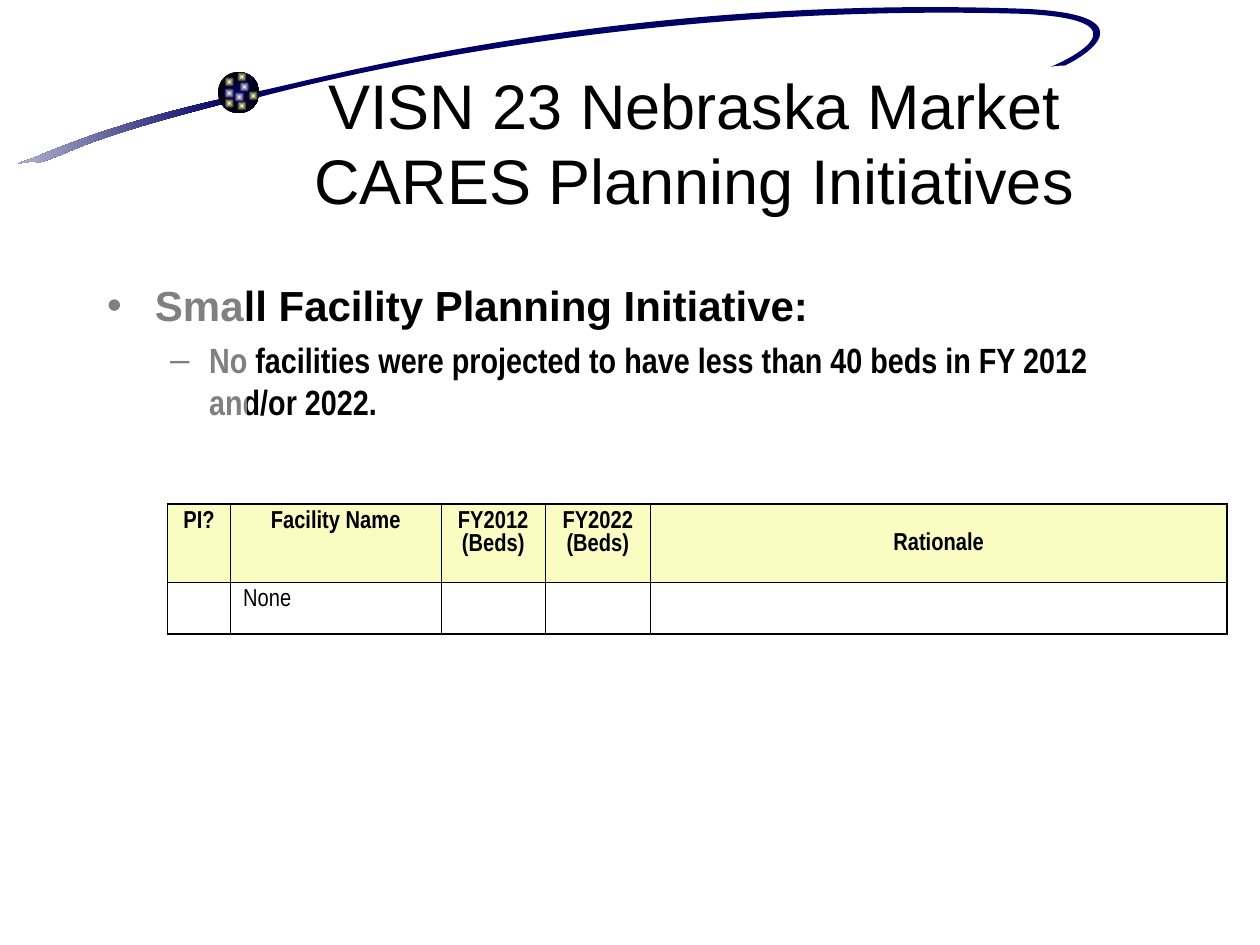
import math
from collections import namedtuple

from lxml import etree
from pptx import Presentation
from pptx import util as u
from pptx.dml.color import RGBColor
from pptx.enum import shapes, text
from pptx.oxml import ns

Box = namedtuple("Box", "left top width height")
COLORS = {"navy": "000066", "mist": "C5C5D9", "black": "000000",
          "cream": "FFFFCC", "header": "FBFCC2", "white": "FFFFFF"}
BODY_FONT, TABLE_FONT = "Arial", "Arial Narrow"
OUTER_LINE, INNER_LINE = 1.08, 0.45
TILT = 351.5

TAIL = [(1.78, 0.78),
        (0.91, 0.98), (0.49, 1.16), (0.25, 1.26),
        (0.01, 1.34), (0.26, 1.26), (0.31, 1.29),
        (0.57, 1.22), (0.57, 1.13), (1.79, 0.82),
        (1.79, 0.82), (1.78, 0.78), (1.78, 0.78)]
ORBIT = [(2.02, 0.73),
         (2.46, 0.65), (4.86, -0.05), (8.14, 0.07),
         (9.17, 0.12), (8.57, 0.47), (8.45, 0.52),
         (8.45, 0.52), (8.38, 0.52), (8.34, 0.53),
         (8.44, 0.49), (9.16, 0.16), (8.13, 0.11),
         (5.48, 0.03), (3.2, 0.47), (2.06, 0.77),
         (2.06, 0.77), (2.02, 0.73), (2.02, 0.73)]
DOT_SIZE = 0.08
DOTS = [(0.17, 0.08, "navy"), (0.05, 0.04, "black"), (0.05, 0.13, "navy"),
        (0.13, 0.16, "navy"), (0.24, 0.15, "black"), (0.15, 0.23, "black"),
        (0.05, 0.21, "black"), (0.15, 0, "black")]


def rgb(name):
    return RGBColor.from_string(COLORS[name])


def add_xml(parent, tag, **attributes):
    return etree.SubElement(parent, ns.qn(tag), attributes)


def place(shape, box):
    shape.left, shape.top, shape.width, shape.height = map(u.Inches, box)


def style_runs(para, font, size, bold=False):
    for span in para.runs:
        span.font.name, span.font.size = font, u.Pt(size)
        span.font.bold = bold
        span.font.color.rgb = rgb("black")


def set_gradient(shape, start, end):
    shape.fill.gradient()
    for stop, name in zip(shape.fill.gradient_stops, (start, end)):
        stop.color.rgb = rgb(name)


def add_curve(page, box, points):
    builder = page.shapes.build_freeform(0, 0)
    builder.add_line_segments([(u.Inches(box.width), u.Inches(box.height))])
    curve = builder.convert_to_shape()
    place(curve, box)
    curve.rotation = TILT
    curve.shadow.inherit = False
    curve.line.fill.background()

    center_x, center_y = box.left + box.width / 2, box.top + box.height / 2
    cosine, sine = math.cos(math.radians(TILT)), math.sin(math.radians(TILT))

    def add_point(parent, spot):
        x, y = spot[0] - center_x, spot[1] - center_y
        add_xml(parent, "a:pt",
                x=str(u.Inches(box.width / 2 + x * cosine + y * sine)),
                y=str(u.Inches(box.height / 2 - x * sine + y * cosine)))

    outline = curve._element.spPr.find(ns.qn("a:custGeom")).find(ns.qn("a:pathLst"))[0]
    for child in list(outline):
        outline.remove(child)
    add_point(add_xml(outline, "a:moveTo"), points[0])
    for i in range(1, len(points), 3):
        bend = add_xml(outline, "a:cubicBezTo")
        for spot in points[i:i + 3]:
            add_point(bend, spot)
    add_xml(outline, "a:close")
    return curve


def add_plain_shape(page, kind, box):
    shape = page.shapes.add_shape(kind, *map(u.Inches, box))
    shape.shadow.inherit = False
    shape.line.fill.background()
    return shape


def add_ball(page, box, center, edge):
    ball = add_plain_shape(page, shapes.MSO_SHAPE.OVAL, box)
    set_gradient(ball, center, edge)
    gradient = ball._element.spPr.find(ns.qn("a:gradFill"))
    gradient.remove(gradient.find(ns.qn("a:lin")))
    focus = add_xml(gradient, "a:path", path="rect")
    add_xml(focus, "a:fillToRect", l="50000", t="50000", r="50000", b="50000")


def add_swoosh(page, tail_box, orbit_box, planet):
    tail = add_curve(page, tail_box, TAIL)
    set_gradient(tail, "navy", "mist")
    tail.fill.gradient_angle = 180
    orbit = add_curve(page, orbit_box, ORBIT)
    orbit.fill.solid()
    orbit.fill.fore_color.rgb = rgb("navy")
    add_ball(page, planet, "navy", "black")
    for x, y, edge in DOTS:
        add_ball(page, Box(planet.left + x, planet.top + y, DOT_SIZE, DOT_SIZE),
                 "cream", edge)


def add_veil(page, box):
    veil = add_plain_shape(page, shapes.MSO_SHAPE.RECTANGLE, box)
    veil.fill.solid()
    veil.fill.fore_color.rgb = rgb("white")
    tint = veil._element.spPr.find(ns.qn("a:solidFill"))[0]
    add_xml(tint, "a:alpha", val="50000")


def add_title(page, box):
    title = page.shapes.title
    place(title, box)
    frame = title.text_frame
    frame.text = "VISN 23 Nebraska Market\vCARES Planning Initiatives"
    frame.auto_size = text.MSO_AUTO_SIZE.NONE
    frame.vertical_anchor = text.MSO_ANCHOR.MIDDLE
    para = frame.paragraphs[0]
    para.alignment = text.PP_ALIGN.CENTER
    style_runs(para, BODY_FONT, 36)


def add_list(page, box):
    body = page.placeholders[1]
    place(body, box)
    frame = body.text_frame
    frame.auto_size = text.MSO_AUTO_SIZE.NONE
    items = [
        ("Small Facility Planning Initiative:", "•", 0.38, -0.38, BODY_FONT, 24, 0),
        ("No facilities were projected to have less than 40 beds in FY 2012 and/or 2022.",
         "–", 0.81, -0.31, TABLE_FONT, 20, 5),
    ]
    for level, (words, bullet, margin, indent, font, size, before) in enumerate(items):
        para = frame.add_paragraph() if level else frame.paragraphs[0]
        para.text = words
        para.level = level
        para.space_before = u.Pt(before)
        properties = para._p.get_or_add_pPr()
        properties.set("marL", str(u.Inches(margin)))
        properties.set("indent", str(u.Inches(indent)))
        add_xml(add_xml(properties, "a:buClr"), "a:srgbClr", val=COLORS["black"])
        add_xml(properties, "a:buFont", typeface="Arial")
        add_xml(properties, "a:buChar", char=bullet)
        style_runs(para, font, size, bold=True)


def set_borders(cell, widths):
    properties = cell._tc.get_or_add_tcPr()
    for side, width in zip("LRTB", widths):
        line = add_xml(properties, f"a:ln{side}", w=str(u.Pt(width)))
        add_xml(add_xml(line, "a:solidFill"), "a:srgbClr", val=COLORS["black"])


def add_facility_table(page, box):
    rows = [["PI?", "Facility Name", "FY2012 (Beds)", "FY2022 (Beds)", "Rationale"],
            ["", "None", "", "", ""]]
    widths = [0.5, 1.67, 0.83, 0.83, 4.58]
    heights = [0.62, 0.41]
    table = page.shapes.add_table(len(rows), len(widths), *map(u.Inches, box)).table
    table.first_row = table.horz_banding = False
    for column, width in zip(table.columns, widths):
        column.width = u.Inches(width)
    for row, height in zip(table.rows, heights):
        row.height = u.Inches(height)
    last_row, last_column = len(rows) - 1, len(widths) - 1
    for r, row in enumerate(rows):
        for c, words in enumerate(row):
            cell = table.cell(r, c)
            edges = (c == 0, c == last_column, r == 0, r == last_row)
            set_borders(cell, [OUTER_LINE if edge else INNER_LINE for edge in edges])
            if r == 0:
                cell.fill.solid()
                cell.fill.fore_color.rgb = rgb("header")
            else:
                cell.fill.background()
            if not words:
                continue
            cell.text_frame.text = words
            para = cell.text_frame.paragraphs[0]
            para.alignment = text.PP_ALIGN.LEFT if r else text.PP_ALIGN.CENTER
            style_runs(para, TABLE_FONT, 14, bold=r == 0)
    table.cell(0, last_column).margin_top = u.Inches(0.23)


deck = Presentation()
deck.slide_width, deck.slide_height = u.Inches(10), u.Inches(7.5)
page = deck.slides.add_slide(deck.slide_layouts[1])
add_swoosh(page, Box(-0.03, 0.91, 1.84, 0.3), Box(2.01, -0.15, 7.16, 1.09),
           Box(1.73, 0.57, 0.33, 0.33))
add_veil(page, Box(0.74, 2.06, 1.22, 5.44))
add_title(page, Box(1.26, 0.5, 8.5, 1.25))
add_list(page, Box(0.75, 2.17, 8.5, 4.5))
add_facility_table(page, Box(1.33, 4, 8.41, 1.03))
deck.save("out.pptx")
